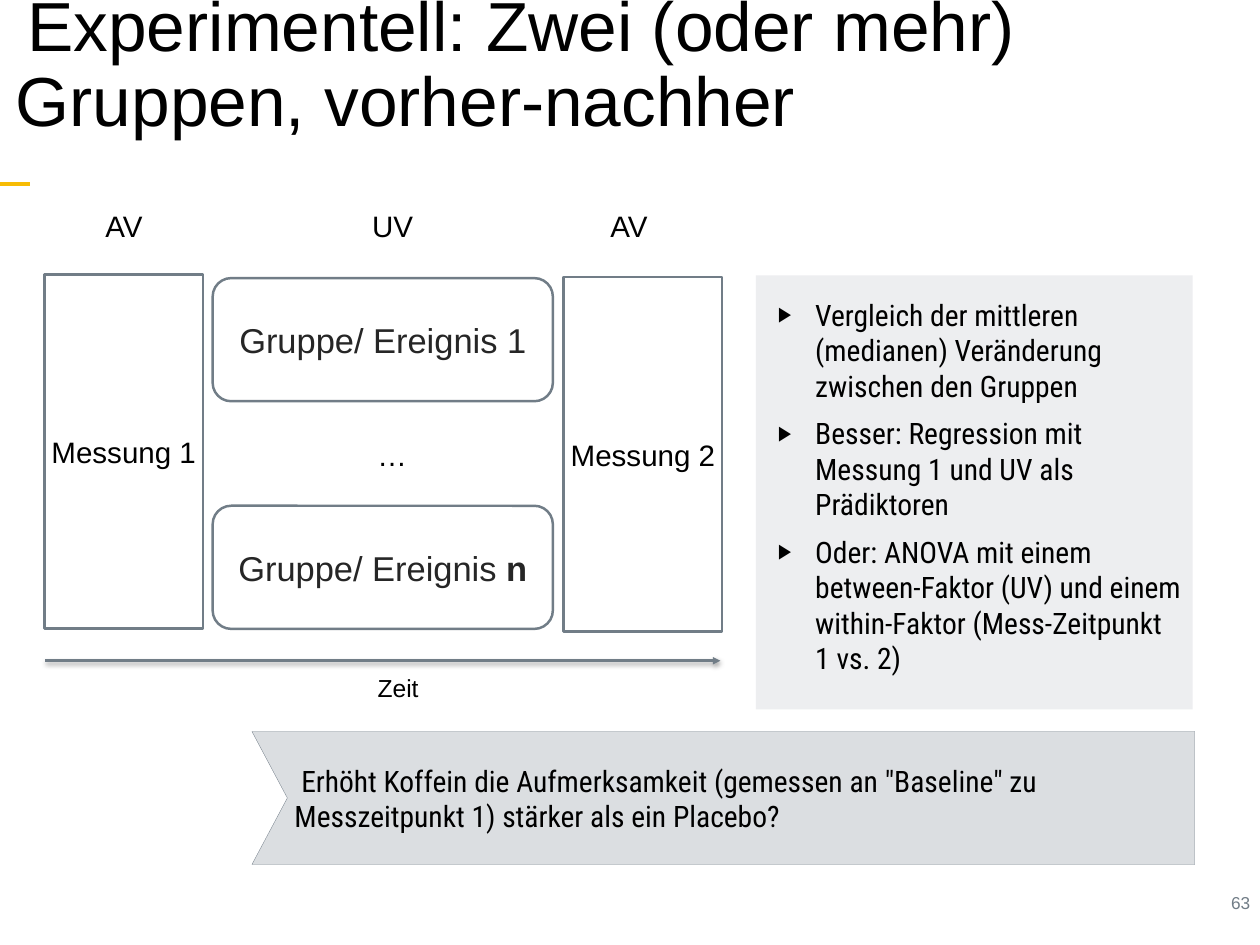
from dataclasses import dataclass

from lxml import etree
from pptx import Presentation
from pptx import util as u
from pptx.dml.color import RGBColor
from pptx.enum import shapes, text
from pptx.oxml import ns

WIDTH, HEIGHT = u.Inches(14.22), u.Inches(10.67)


@dataclass(frozen=True)
class Theme:
    sans: str = "Arial"
    narrow: str = "Roboto Condensed"
    ink: str = "000000"
    soft_ink: str = "262626"
    slate: str = "717D87"
    accent: str = "F7BC05"
    panel: str = "EDEEF0"
    banner: str = "DBDEE1"
    paper: str = "FFFFFF"
    title: float = 56.4
    group: float = 28
    body: float = 24
    axis: float = 20
    number: float = 14


THEME = Theme()
LEFT, CENTER, RIGHT = text.PP_ALIGN.LEFT, text.PP_ALIGN.CENTER, text.PP_ALIGN.RIGHT


def col(share):
    """Percent of the slide's width."""
    return round(WIDTH * share / 100)


def row(share):
    """Percent of the slide's height."""
    return round(HEIGHT * share / 100)


def area(left, top, width, height):
    return col(left), row(top), col(width), row(height)


def apply(target, values):
    for name, value in values.items():
        setattr(target, name, value)


def child(parent, tag, **attributes):
    element = etree.SubElement(parent, ns.qn(tag))
    for name, value in attributes.items():
        element.set(name, str(value))
    return element


def set_frame(box, inset=0.07, **values):
    frame = box.text_frame
    margins = ("margin_left", "margin_top", "margin_right", "margin_bottom")
    apply(frame, dict.fromkeys(margins, u.Inches(inset)))
    apply(frame, {"auto_size": text.MSO_AUTO_SIZE.NONE, "word_wrap": True,
                  "vertical_anchor": text.MSO_ANCHOR.MIDDLE, **values})
    return frame


def write(para, words, size, font=THEME.sans, color=THEME.ink, **values):
    """Fill a paragraph; words is a list of (wording, bold) pairs or a string."""
    apply(para, {"alignment": LEFT, **values})
    pairs = [(words, False)] if isinstance(words, str) else words
    for wording, bold in pairs:
        span = para.add_run()
        span.text = wording
        apply(span.font, {"name": font, "size": u.Pt(size), "bold": bold})
        span.font.color.rgb = RGBColor.from_string(color)


def paint(box, fill, line=None, weight=2):
    box.shadow.inherit = False
    box.fill.solid()
    box.fill.fore_color.rgb = RGBColor.from_string(fill)
    if line:
        box.line.color.rgb = RGBColor.from_string(line)
        box.line.width = u.Pt(weight)
    else:
        box.line.fill.background()


def add_box(page, kind, place, fill, line=None):
    box = page.shapes.add_shape(kind, *area(*place))
    paint(box, fill, line)
    return box


def add_measurement(page, place, words):
    box = add_box(page, shapes.MSO_SHAPE.RECTANGLE, place, THEME.paper, THEME.slate)
    frame = set_frame(box, word_wrap=False)
    write(frame.paragraphs[0], words, THEME.body, alignment=CENTER)


def add_group(page, place, words):
    box = add_box(page, shapes.MSO_SHAPE.ROUNDED_RECTANGLE, place, THEME.paper, THEME.slate)
    box.adjustments[0] = 0.15
    write(set_frame(box).paragraphs[0], words, THEME.group,
          color=THEME.soft_ink, alignment=CENTER)


def add_label(page, place, words, size=THEME.body, color=THEME.ink, align=LEFT):
    box = page.shapes.add_textbox(*area(*place))
    frame = set_frame(box, vertical_anchor=text.MSO_ANCHOR.TOP, word_wrap=align == RIGHT)
    write(frame.paragraphs[0], words, size, color=color, alignment=align)


def add_line(page, start, end, top, color, weight):
    line = page.shapes.add_connector(shapes.MSO_CONNECTOR.STRAIGHT,
                                     col(start), row(top), col(end), row(top))
    line.line.color.rgb = RGBColor.from_string(color)
    line.line.width = u.Pt(weight)
    return line, child(line._element.spPr, "a:effectLst")


def add_time_arrow(page, start, end, top):
    line, effects = add_line(page, start, end, top, THEME.slate, 2)
    child(line.line._get_or_add_ln(), "a:tailEnd", type="triangle")
    shadow = child(effects, "a:outerShdw", blurRad=u.Pt(4), dist=u.Pt(2),
                   dir=90 * 60000, rotWithShape=0)
    child(child(shadow, "a:srgbClr", val=THEME.ink), "a:alpha", val=38000)


def add_banner(page, place, notch, words):
    """Band with a notched left side."""
    left, top, width, height = area(*place)
    right, bottom = left + width, top + height
    outline = page.shapes.build_freeform(left, top)
    outline.add_line_segments([(right, top), (right, bottom), (left, bottom),
                               (left + col(notch), top + height // 2)])
    box = outline.convert_to_shape()
    paint(box, THEME.banner, THEME.slate, 0.25)
    frame = set_frame(box, inset=0, margin_left=u.Inches(0.48), margin_right=u.Inches(0.08))
    write(frame.paragraphs[0], words, THEME.body, THEME.narrow, space_before=u.Pt(10))


def set_indent(para, left, first):
    props = para._p.get_or_add_pPr()
    props.set("marL", str(u.Inches(left)))
    props.set("indent", str(u.Inches(first)))
    return props


def move(box, place):
    apply(box, dict(zip(("left", "top", "width", "height"), area(*place))))


def fill_title(box, place, words):
    move(box, place)
    para = set_frame(box, inset=0.05).paragraphs[0]
    write(para, words, THEME.title, line_spacing=0.9)
    set_indent(para, 0.13, 0.13)


def fill_list(box, place, entries):
    move(box, place)
    frame = set_frame(box, vertical_anchor=text.MSO_ANCHOR.TOP)
    for index, entry in enumerate(entries):
        para = frame.add_paragraph() if index else frame.paragraphs[0]
        write(para, entry, THEME.body, THEME.narrow, space_before=u.Pt(10))
        props = set_indent(para, 0.42, -0.42)
        child(child(props, "a:buClr"), "a:srgbClr", val=THEME.ink)
        child(props, "a:buSzPct", val=70000)
        child(props, "a:buChar", char="▶")


def main():
    deck = Presentation()
    deck.slide_width, deck.slide_height = WIDTH, HEIGHT
    page = deck.slides.add_slide(deck.slide_layouts[1])

    add_line(page, 0, 2.39, 19.5, THEME.accent, 3)
    fill_title(page.shapes.title, (0, -0.19, 100, 14.53),
               "Experimentell: Zwei (oder mehr) Gruppen, vorher-nachher")

    for left, width, words in ((7.88, 4.08, "AV"), (29.04, 4.36, "UV"), (47.96, 4.08, "AV")):
        add_label(page, (left, 21.37, width, 4.87), words)
    add_measurement(page, (3.52, 29.05, 12.59, 37.49), "Messung 1")
    add_measurement(page, (44.73, 29.33, 12.59, 37.49), "Messung 2")
    for index, (name, bold) in enumerate((("1", False), ("n", True))):
        add_group(page, (16.88, 29.43 + index * 24.09, 27, 13.03),
                  [("Gruppe/ Ereignis ", False), (name, bold)])
    add_label(page, (29.47, 45.55, 3.45, 4.87), "…")
    add_time_arrow(page, 3.59, 57.17, 69.92)
    add_label(page, (29.47, 70.57, 4.36, 4.22), "Zeit", THEME.axis)

    panel = add_box(page, shapes.MSO_SHAPE.RECTANGLE, (60, 29.15, 34.67, 45.92), THEME.panel)
    body = page.placeholders[1]
    body._element.addprevious(panel._element)
    fill_list(body, (61.25, 30.74, 32.98, 40.39), (
        "Vergleich der mittleren (medianen) Veränderung zwischen den Gruppen",
        "Besser: Regression mit Messung 1 und UV als Prädiktoren",
        "Oder: ANOVA mit einem between-Faktor (UV) und einem within-Faktor (Mess-Zeitpunkt 1 vs. 2)",
    ))
    add_banner(page, (20, 77.41, 74.82, 14.06), 2.81,
               " Erhöht Koffein die Aufmerksamkeit (gemessen an \"Baseline\" zu "
               "Messzeitpunkt 1) stärker als ein Placebo?")
    add_label(page, (83.05, 93.72, 16.67, 3.37), "63", THEME.number, THEME.slate, RIGHT)
    deck.save("out.pptx")


if __name__ == "__main__":
    main()
